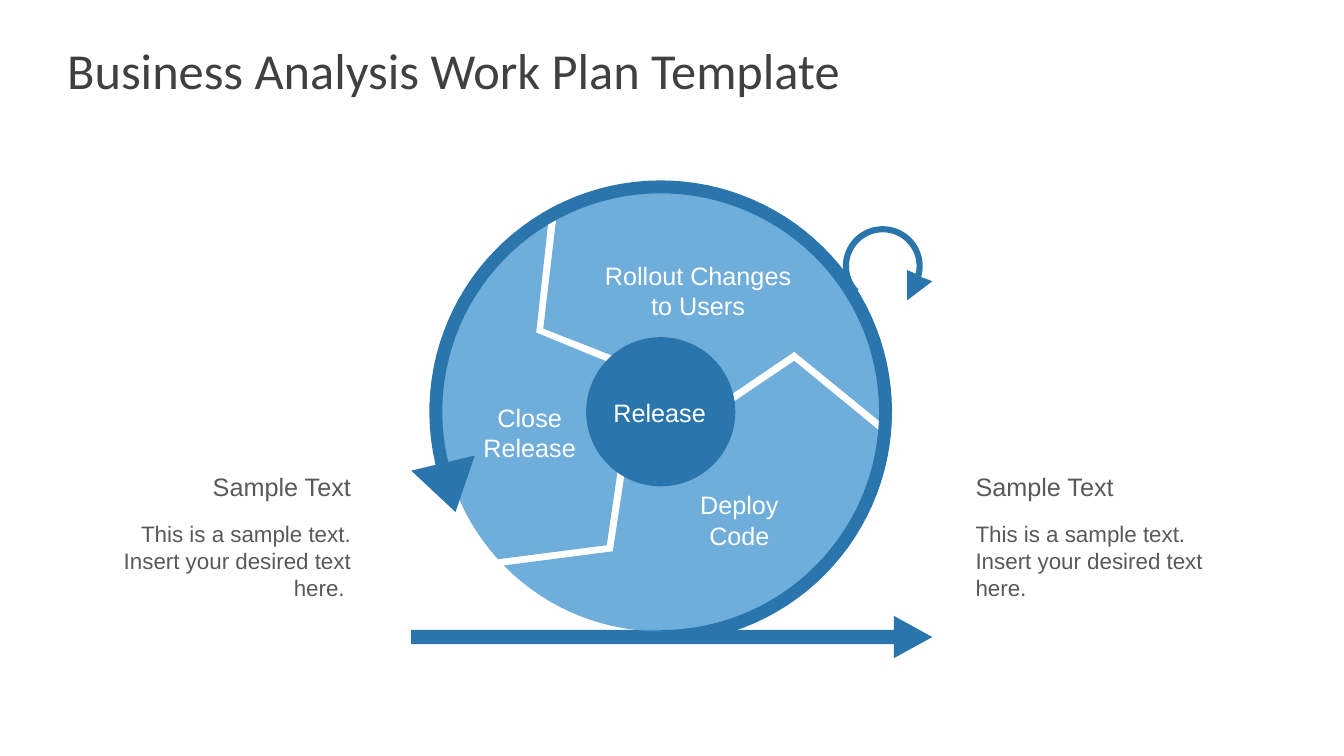
"""Build the release cycle slide of a business analysis work plan."""
from dataclasses import dataclass
from math import cos, radians, sin

from lxml import etree
from pptx import Presentation
from pptx.dml.color import RGBColor
from pptx.enum.shapes import MSO_SHAPE
from pptx.enum.text import MSO_ANCHOR, MSO_AUTO_SIZE, PP_ALIGN
from pptx.oxml.ns import qn
from pptx.util import Emu, Pt

ARROW, OVAL = MSO_SHAPE.RIGHT_ARROW, MSO_SHAPE.OVAL
LEFT, CENTER, RIGHT = PP_ALIGN.LEFT, PP_ALIGN.CENTER, PP_ALIGN.RIGHT
TOP, MIDDLE = MSO_ANCHOR.TOP, MSO_ANCHOR.MIDDLE
GROW, NO_FIT = MSO_AUTO_SIZE.SHAPE_TO_FIT_TEXT, MSO_AUTO_SIZE.NONE

COLORS = {"dark": "2A75AC", "light": "4B99D3", "white": "FFFFFF",
          "title": "404040", "body": "595959"}
COLUMNS, ROWS = 160, 90
SLIDE_WIDTH, SLIDE_HEIGHT = Emu(12192000), Emu(6858000)
CELL = SLIDE_WIDTH // COLUMNS

WHEEL_CENTER = (78.66, 49.02)
SEGMENT_RADIUS, SEGMENT_HOLE = 26.15, 8.22
RING_OUTER, RING_INNER = 27.54, 26
HUB_RADIUS = 8.88
LOOP_CENTER = (105.1, 31.68)
LOOP_OUTER, LOOP_INNER = 4.75, 4.02

Point = tuple[float, float]
Box = tuple[float, float, float, float]


@dataclass
class Segment:
    outer: Point
    end_elbow: Point
    inner: Point
    start_elbow: Point


@dataclass
class Label:
    text: str
    box: Box
    size: int = 18
    color: str = "white"
    align: PP_ALIGN = CENTER
    wrap: bool = False


SEGMENTS = [
    Segment((137.8, 239.2), (63.84, 39.6), (224.4, 127.9), (72.24, 64.92)),
    Segment((241.6, 362.6), (94.56, 41.88), (347.4, 231.5), (64.68, 39.12)),
    Segment((5, 135.6), (72.96, 65.64), (121.1, -5.9), (94.56, 42.96)),
]
RING_HEAD = [(56.52, 54.24), (54.24, 60.96), (48.96, 56.04)]
LOOP_HEAD = [(111, 33.48), (108, 35.76), (108, 32.16)]

LABELS = [
    Label("Release", (71.76, 46.68, 13.56, 4.8)),
    Label("Close\nRelease", (56.28, 47.28, 13.56, 8.52)),
    Label("Rollout Changes to Users", (70.56, 30.36, 25.08, 8.52), wrap=True),
    Label("Deploy\nCode", (82.08, 57.72, 11.88, 8.52)),
]
SAMPLE = "This is a sample text. Insert your desired text here."
NOTES = [(12.36, 30.6, RIGHT, SAMPLE + " "), (114.96, 32.52, LEFT, SAMPLE)]
for left, width, align, body in NOTES:
    LABELS += [
        Label(body, (left, 61.32, width, 10.92), 16, "body", align, True),
        Label("Sample Text", (left, 55.56, width, 4.8), 18, "body", align, True),
    ]


def cells(count: float) -> Emu:
    """Convert grid cells to a length."""
    return Emu(round(count * CELL))


def arc(center: Point, radius: float, start: float, end: float) -> list[Point]:
    """Return points along an arc, with angles clockwise from the right."""
    steps = max(1, round(abs(end - start) / 3))
    angles = [radians(start + (end - start) * step / steps)
              for step in range(steps + 1)]
    return [(center[0] + radius * cos(angle), center[1] + radius * sin(angle))
            for angle in angles]


def paint(shape, color: str, opacity: int = 100) -> None:
    """Fill a shape without a line or shadow."""
    shape.shadow.inherit = False
    shape.line.fill.background()
    shape.fill.solid()
    shape.fill.fore_color.rgb = RGBColor.from_string(COLORS[color])
    if opacity < 100:
        color_element = shape._element.spPr.find(".//" + qn("a:srgbClr"))
        alpha = etree.SubElement(color_element, qn("a:alpha"))
        alpha.set("val", str(opacity * 1000))


def add_outline(slide, points: list[Point], color: str, opacity: int = 100) -> None:
    """Draw a closed, filled outline."""
    corners = [(cells(x), cells(y)) for x, y in points]
    builder = slide.shapes.build_freeform(*corners[0])
    builder.add_line_segments(corners[1:], close=True)
    paint(builder.convert_to_shape(), color, opacity)


def add_preset(slide, preset: MSO_SHAPE, box: Box, color: str):
    """Draw a filled preset shape."""
    shape = slide.shapes.add_shape(preset, *map(cells, box))
    paint(shape, color)
    return shape


def write(shape, text: str, *, size: int, color: str, font: str = "Arial",
          align: PP_ALIGN = LEFT, anchor: MSO_ANCHOR = TOP, wrap: bool = True,
          fit: MSO_AUTO_SIZE = GROW) -> None:
    """Set and format the text of a shape."""
    frame = shape.text_frame
    frame.text = text
    frame.word_wrap = wrap
    frame.auto_size = fit
    frame.vertical_anchor = anchor
    for paragraph in frame.paragraphs:
        paragraph.alignment = align
        for run in paragraph.runs:
            run.font.size = Pt(size)
            run.font.name = font
            run.font.color.rgb = RGBColor.from_string(COLORS[color])


def add_title(slide, text: str) -> None:
    """Place and format the title."""
    title = slide.shapes.title
    title.left, title.top, title.width, title.height = map(
        cells, (8, 3.6, 144, 9.36))
    title.text_frame.margin_left = title.text_frame.margin_right = 0
    write(title, text, size=36, color="title", font="Calibri",
          anchor=MIDDLE, fit=NO_FIT)


def add_wheel(slide) -> None:
    """Draw the segments, the ring with its head, the loop and the hub."""
    for segment in SEGMENTS:
        add_outline(slide, [
            *arc(WHEEL_CENTER, SEGMENT_RADIUS, *segment.outer),
            segment.end_elbow,
            *arc(WHEEL_CENTER, SEGMENT_HOLE, *segment.inner),
            segment.start_elbow,
        ], "light", 80)
    add_outline(slide, arc(WHEEL_CENTER, RING_OUTER, 164, 450)
                + arc(WHEEL_CENTER, RING_INNER, 450, 164), "dark")
    add_outline(slide, RING_HEAD, "dark")
    add_outline(slide, arc(LOOP_CENTER, LOOP_OUTER, 133, 376) + LOOP_HEAD
                + arc(LOOP_CENTER, LOOP_INNER, 373, 136), "dark")
    x, y = WHEEL_CENTER
    add_preset(slide, OVAL, (x - HUB_RADIUS, y - HUB_RADIUS,
                             2 * HUB_RADIUS, 2 * HUB_RADIUS), "dark")


def main() -> None:
    """Build and save the slide."""
    presentation = Presentation()
    presentation.slide_width = SLIDE_WIDTH
    presentation.slide_height = SLIDE_HEIGHT
    slide = presentation.slides.add_slide(presentation.slide_layouts[5])
    add_title(slide, "Business Analysis Work Plan Template")
    base_arrow = add_preset(slide, ARROW, (48.96, 73.32, 62.04, 5.04), "dark")
    base_arrow.adjustments[0] = 0.34
    base_arrow.adjustments[1] = 0.91
    add_wheel(slide)
    for label in LABELS:
        textbox = slide.shapes.add_textbox(*map(cells, label.box))
        write(textbox, label.text, size=label.size, color=label.color,
              align=label.align, wrap=label.wrap)
    presentation.save("out.pptx")


if __name__ == "__main__":
    main()
